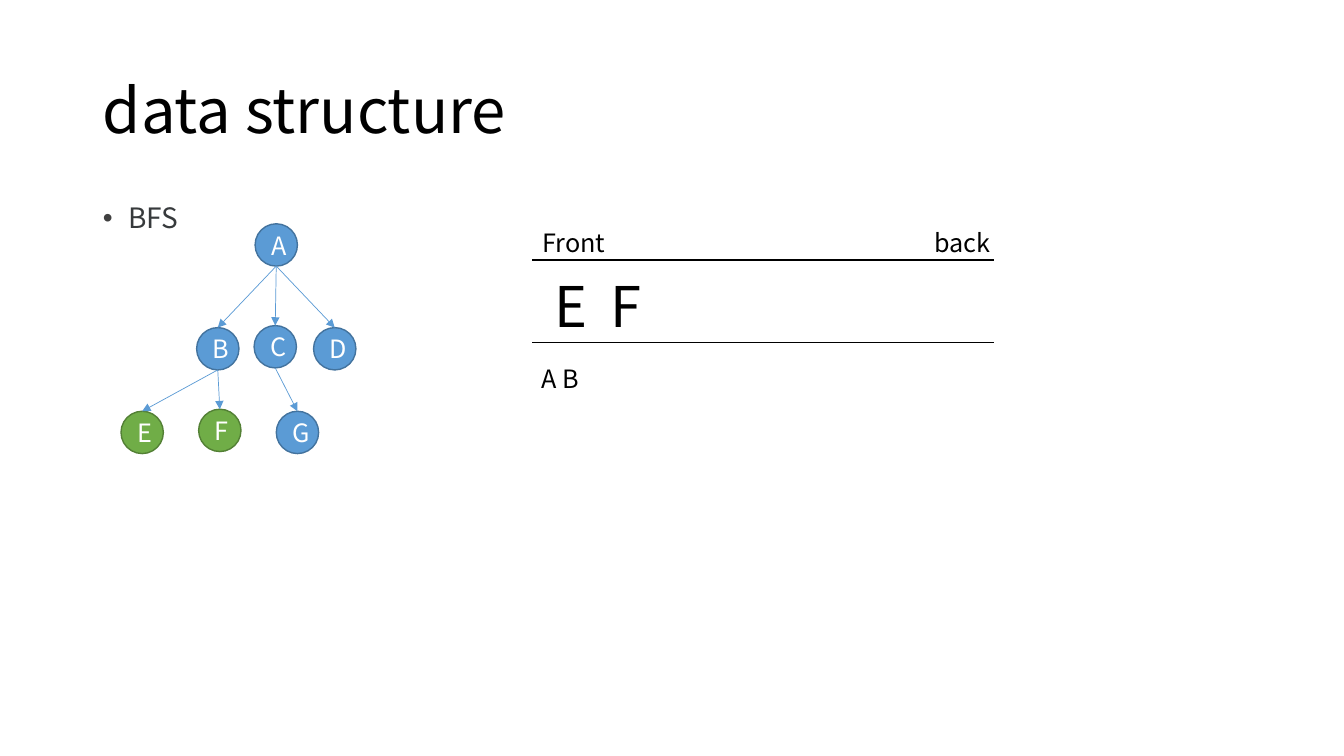
from lxml import etree
from pptx import Presentation
from pptx.dml.color import RGBColor
from pptx.enum.shapes import MSO_CONNECTOR as CONN, MSO_SHAPE as SHAPE
from pptx.enum.text import MSO_ANCHOR as ANCHOR, PP_ALIGN as ALIGN
from pptx.oxml.ns import qn
from pptx.util import Inches, Pt

FONT = "Noto Sans CJK KR"
BLACK = RGBColor(0x00, 0x00, 0x00)
WHITE = RGBColor(0xFF, 0xFF, 0xFF)
GREY = RGBColor(0x37, 0x3A, 0x3C)
BLUE = RGBColor(0x5B, 0x9B, 0xD5)
DARK_BLUE = RGBColor(0x43, 0x73, 0x9E)
GREEN = RGBColor(0x70, 0xAD, 0x47)
DARK_GREEN = RGBColor(0x53, 0x80, 0x35)


def write(shape, text, size, color, **para_format):
    p = shape.text_frame.paragraphs[0]
    for name, value in para_format.items():
        setattr(p, name, value)
    r = p.add_run()
    r.text = text
    r.font.name, r.font.size = FONT, Pt(size)
    r.font.color.rgb = color
    return p


def add_xml(parent, tag, **attrs):
    return etree.SubElement(parent, qn(tag), attrs)


prs = Presentation()
prs.slide_width, prs.slide_height = Inches(13.33), Inches(7.5)
s = prs.slides.add_slide(prs.slide_layouts[1])

# Title and list
title, body = s.placeholders
for sp, box in ((title, (0.92, 0.4, 11.5, 1.45)), (body, (0.92, 1.98, 4.1, 4.76))):
    sp.left, sp.top, sp.width, sp.height = map(Inches, box)
title.text_frame.vertical_anchor = ANCHOR.MIDDLE
write(title, "data structure", 44, BLACK, alignment=ALIGN.LEFT, line_spacing=0.9)
p = write(body, "BFS", 20, GREY, line_spacing=0.9, space_before=Pt(10))
pPr = p._p.get_or_add_pPr()
pPr.set("marL", str(Inches(0.25)))
pPr.set("indent", str(Inches(-0.25)))
add_xml(add_xml(pPr, "a:buClr"), "a:srgbClr", val="404040")
add_xml(pPr, "a:buFont", typeface="Arial")
add_xml(pPr, "a:buChar", char="•")

# Tree nodes
SIZE = 0.42
nodes = {"A": (2.53, 2.22), "B": (1.95, 3.25), "C": (2.52, 3.23), "D": (3.11, 3.25),
         "E": (1.2, 4.08), "F": (1.97, 4.06), "G": (2.74, 4.08)}
queued = "EF"
for name, (x, y) in nodes.items():
    sp = s.shapes.add_shape(SHAPE.OVAL, Inches(x), Inches(y), Inches(SIZE), Inches(SIZE))
    sp.shadow.inherit = False
    sp.fill.solid()
    sp.fill.fore_color.rgb = GREEN if name in queued else BLUE
    sp.line.color.rgb = DARK_GREEN if name in queued else DARK_BLUE
    sp.line.width = Pt(1)
    sp.text_frame.vertical_anchor = ANCHOR.MIDDLE
    write(sp, name, 18, WHITE, alignment=ALIGN.CENTER)

# Tree edges, from the foot of the parent to the top of the child
for parent, child in ("BE", "BF", "CG", "AB", "AD", "AC"):
    (x1, y1), (x2, y2) = nodes[parent], nodes[child]
    edge = s.shapes.add_connector(CONN.STRAIGHT, Inches(x1 + SIZE / 2), Inches(y1 + SIZE),
                                  Inches(x2 + SIZE / 2), Inches(y2))
    edge.line.color.rgb = BLUE
    edge.line.width = Pt(0.5)
    add_xml(edge.line._get_or_add_ln(), "a:tailEnd", type="triangle")
    add_xml(edge._element.spPr, "a:effectLst")

# Queue: one cell with lines above and below
queue = s.shapes.add_table(1, 1, Inches(5.28), Inches(2.58), Inches(4.58), Inches(0.82)).table
cell = queue.cell(0, 0)
tcPr = cell._tc.get_or_add_tcPr()
for side in ("L", "R", "T", "B"):
    ln = add_xml(tcPr, f"a:ln{side}", w=str(Pt(1)))
    if side in "TB":
        add_xml(add_xml(ln, "a:solidFill"), "a:srgbClr", val=str(BLACK))
    else:
        add_xml(ln, "a:noFill")
cell.fill.background()

# Queue labels, contents and visited nodes: text, size, box, tab stop
for text, size, box, tab in (
    ("Front\tback", 18, (5.28, 2.21, 4.79, 0.41), 3.89),
    ("E\tF", 40, (5.4, 2.64, 2.14, 0.78), 0.56),
    ("A B", 18, (5.27, 3.55, 0.7, 0.41), None),
):
    sp = s.shapes.add_textbox(*map(Inches, box))
    sp.text_frame.word_wrap = True
    p = write(sp, text, size, BLACK)
    if tab:
        tabs = add_xml(p._p.get_or_add_pPr(), "a:tabLst")
        add_xml(tabs, "a:tab", pos=str(Inches(tab)), algn="l")

prs.save("out.pptx")
